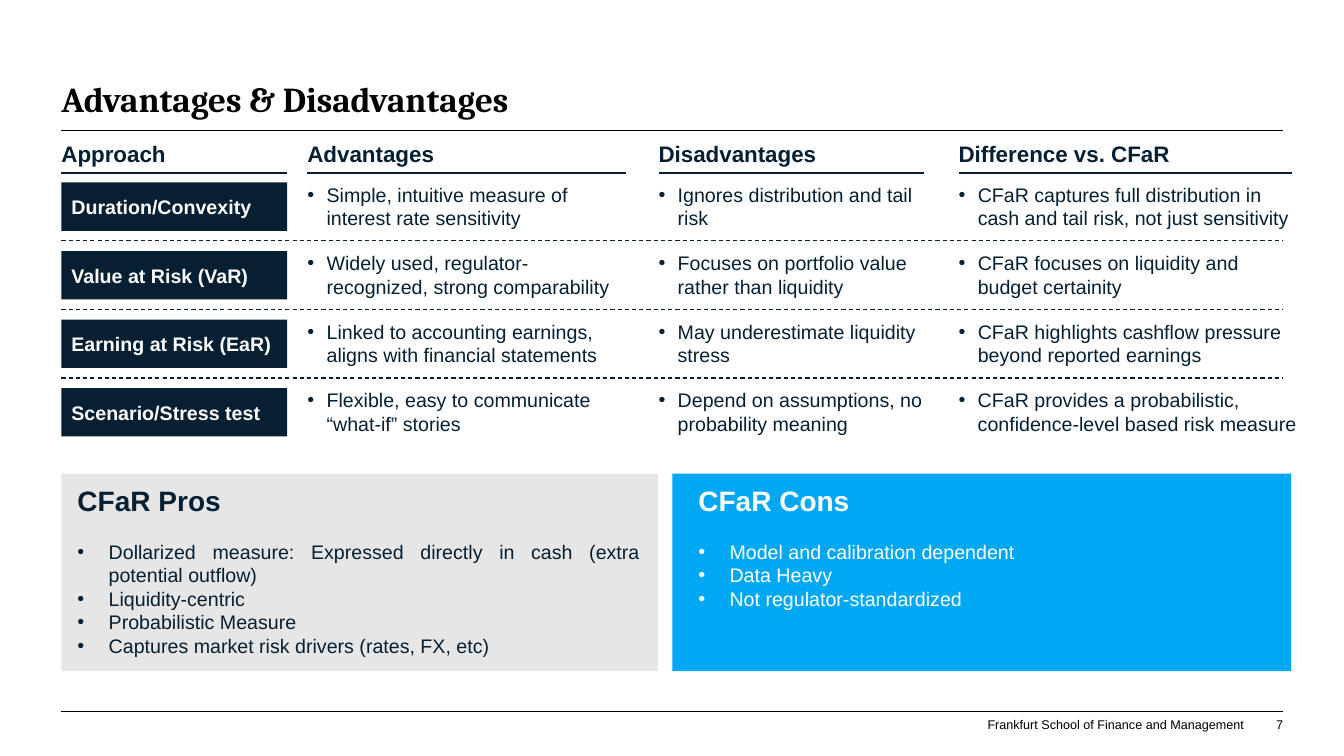
from dataclasses import dataclass

from lxml.etree import SubElement
from pptx import Presentation
from pptx.dml.color import RGBColor
from pptx.enum.dml import MSO_LINE_DASH_STYLE as Dash
from pptx.enum.shapes import MSO_CONNECTOR_TYPE as Connector, MSO_SHAPE as Preset
from pptx.enum.text import MSO_ANCHOR as Anchor, MSO_AUTO_SIZE as AutoSize, PP_ALIGN as Align
from pptx.oxml.ns import qn
from pptx.util import Emu, Inches, Pt

COLUMNS, ROWS, UNIT = 160, 90, 76200


@dataclass(frozen=True)
class Theme:
    """Colours, fonts and type sizes of the slide."""
    navy: str = "061F32"
    black: str = "000000"
    white: str = "FFFFFF"
    grey: str = "E6E6E6"
    blue: str = "00A7F2"
    body_font: str = "Arial"
    title_font: str = "Cambria"
    title: int = 25
    panel: int = 20
    heading: int = 16
    body: int = 14
    footer: int = 9


@dataclass(frozen=True)
class Box:
    """A rectangle in grid columns and rows."""
    left: float
    top: float
    width: float
    height: float

    def place(self):
        """Return the rectangle as slide lengths."""
        return [Emu(round(value * UNIT)) for value in (self.left, self.top, self.width, self.height)]


THEME = Theme()
PAGE = Box(7.32, 0, 145.44, ROWS)
TABLE = Box(PAGE.left, 16.68, PAGE.width, 36)
ROW_PITCH, ROW_HEIGHT = 8.16, 5.76
TABLE_COLUMNS = [
    ("Approach", 7.32, 26.88, 26.88),
    ("Advantages", 36.6, 37.9, 36.6),
    ("Disadvantages", 78.4, 31.6, 33.6),
    ("Difference vs. CFaR", 114.12, 39.7, 39.5),
]
TABLE_ROWS = [
    ("Duration/Convexity", "Simple, intuitive measure of interest rate sensitivity",
     "Ignores distribution and tail risk",
     "CFaR captures full distribution in cash and tail risk, not just sensitivity"),
    ("Value at Risk (VaR)", "Widely used, regulator-recognized, strong comparability",
     "Focuses on portfolio value rather than liquidity",
     "CFaR focuses on liquidity and budget certainity"),
    ("Earning at Risk (EaR)", "Linked to accounting earnings, aligns with financial statements",
     "May underestimate liquidity stress",
     "CFaR highlights cashflow pressure beyond reported earnings"),
    ("Scenario/Stress test", "Flexible, easy to communicate “what-if” stories",
     "Depend on assumptions, no probability meaning",
     "CFaR provides a probabilistic, confidence-level based risk measure"),
]
LAST_ROW_EXTRA = 1.5
PROS = ["Dollarized measure: Expressed directly in cash (extra potential outflow)",
        "Liquidity-centric", "Probabilistic Measure", "Captures market risk drivers (rates, FX, etc)"]
CONS = ["Model and calibration dependent", "Data Heavy", "Not regulator-standardized"]


def set_values(target, values):
    """Set each named attribute of the target."""
    for name, value in values.items():
        setattr(target, name, value)


def format_frame(frame, margin=0, **values):
    """Set the wrapping, margins and anchor of a text frame."""
    sides = ("left", "right", "top", "bottom") if margin is not None else ()
    set_values(frame, {"word_wrap": True, "auto_size": AutoSize.NONE, **values}
               | {f"margin_{side}": Inches(margin) for side in sides})


def write(paragraph, text, size, color, bold=False, align=Align.LEFT, font=THEME.body_font,
          indent=0, after=0):
    """Write one formatted paragraph, with a bullet when it is indented."""
    set_values(paragraph, {"alignment": align, "space_before": Pt(0), "space_after": Pt(after)})
    if indent:
        properties = paragraph._p.get_or_add_pPr()
        properties.set("marL", str(Inches(indent)))
        properties.set("indent", str(-Inches(indent)))
        SubElement(properties, qn("a:buFont"), typeface="Arial")
        SubElement(properties, qn("a:buChar"), char="•")
    run = paragraph.add_run()
    run.text = text
    set_values(run.font, {"name": font, "size": Pt(size), "bold": bold})
    run.font.color.rgb = RGBColor.from_string(color)


def add_label(slide, box, text, size, color, anchor=Anchor.TOP, wrap=True, **style):
    """Add a text box without margins."""
    frame = slide.shapes.add_textbox(*box.place()).text_frame
    format_frame(frame, vertical_anchor=anchor, word_wrap=wrap)
    write(frame.paragraphs[0], text, size, color, **style)


def add_rule(slide, left, top, width, color, weight, dash=None):
    """Add a horizontal line."""
    x, y, length, _ = Box(left, top, width, 0).place()
    rule = slide.shapes.add_connector(Connector.STRAIGHT, x, y, x + length, y)
    set_values(rule.line, {"width": Pt(weight), "dash_style": dash})
    rule.line.color.rgb = RGBColor.from_string(color)
    SubElement(rule._element.spPr, qn("a:effectLst"))


def add_block(slide, box, color):
    """Add a plain filled rectangle."""
    block = slide.shapes.add_shape(Preset.RECTANGLE, *box.place())
    block.shadow.inherit = False
    block.fill.solid()
    block.fill.fore_color.rgb = RGBColor.from_string(color)
    block.line.fill.background()
    return block


def add_title(slide, box, text):
    """Place the title above its rule."""
    title = slide.shapes.title
    set_values(title, dict(zip(("left", "top", "width", "height"), box.place())))
    format_frame(title.text_frame, vertical_anchor=Anchor.BOTTOM)
    write(title.text_frame.paragraphs[0], text, THEME.title, THEME.black, bold=True, font=THEME.title_font)
    add_rule(slide, box.left, box.top + box.height + 1.2, box.width, THEME.black, 0.5)


def add_footer(slide, box, owner, number):
    """Place the owner and the page number under a rule."""
    add_rule(slide, box.left, box.top, box.width, THEME.black, 0.5)
    right = box.left + box.width
    for text, offset, width, wrap in ((owner, 35.52, 30.84, False), (number, 4.32, 4.32, True)):
        add_label(slide, Box(right - offset, box.top + 0.6, width, 1.8), text, THEME.footer,
                  THEME.black, Anchor.BOTTOM, wrap, align=Align.RIGHT)


def add_comparison(slide, box):
    """Place the headings, approaches and points in columns and rows."""
    for heading, left, rule_width, _ in TABLE_COLUMNS:
        add_label(slide, Box(left, box.top, rule_width, 3.24), heading, THEME.heading,
                  THEME.navy, Anchor.BOTTOM, bold=True)
        add_rule(slide, left, box.top + 3.96, rule_width, THEME.navy, 1.25)
    last = len(TABLE_ROWS) - 1
    for index, (approach, *points) in enumerate(TABLE_ROWS):
        top = box.top + 5.04 + index * ROW_PITCH
        _, left, width, _ = TABLE_COLUMNS[0]
        frame = add_block(slide, Box(left, top, width, ROW_HEIGHT), THEME.navy).text_frame
        format_frame(frame, margin=None, vertical_anchor=Anchor.MIDDLE)
        write(frame.paragraphs[0], approach, THEME.body, THEME.white, bold=True)
        for point, (_, left, _, width) in zip(points, TABLE_COLUMNS[1:]):
            extra = LAST_ROW_EXTRA if index == last else 0
            add_label(slide, Box(left, top, width + extra, ROW_HEIGHT), point, THEME.body,
                      THEME.navy, indent=0.19, after=6)
        if index < last:
            add_rule(slide, box.left, top + 6.96, box.width, THEME.navy, 0.75, Dash.DASH)


def add_panel(slide, box, inset, text_width, heading, points, fill, color):
    """Place a filled panel with a heading and bullets."""
    add_block(slide, box, fill)
    text_box = Box(box.left + inset, box.top + 0.6, text_width, box.height - 1.2)
    frame = slide.shapes.add_textbox(*text_box.place()).text_frame
    format_frame(frame, margin=None)
    write(frame.paragraphs[0], heading, THEME.panel, color, bold=True, align=Align.JUSTIFY, after=16)
    for point in points:
        write(frame.add_paragraph(), point, THEME.body, color, align=Align.JUSTIFY, indent=0.31)


def main():
    """Build and save the slide."""
    presentation = Presentation()
    set_values(presentation, {"slide_width": Emu(COLUMNS * UNIT), "slide_height": Emu(ROWS * UNIT)})
    slide = presentation.slides.add_slide(presentation.slide_layouts[5])
    add_title(slide, Box(PAGE.left, 4.68, PAGE.width, 9.6), "Advantages & Disadvantages")
    add_comparison(slide, TABLE)
    add_panel(slide, Box(PAGE.left, 56.4, 71.04, 23.52), 0.72, 69.36, "CFaR Pros", PROS,
              THEME.grey, THEME.navy)
    add_panel(slide, Box(80.04, 56.4, 73.68, 23.52), 1.92, 47.52, "CFaR Cons", CONS,
              THEME.blue, THEME.white)
    add_footer(slide, Box(PAGE.left, 84.72, PAGE.width, 3), "Frankfurt School of Finance and Management", "7")
    presentation.save("out.pptx")


if __name__ == "__main__":
    main()
